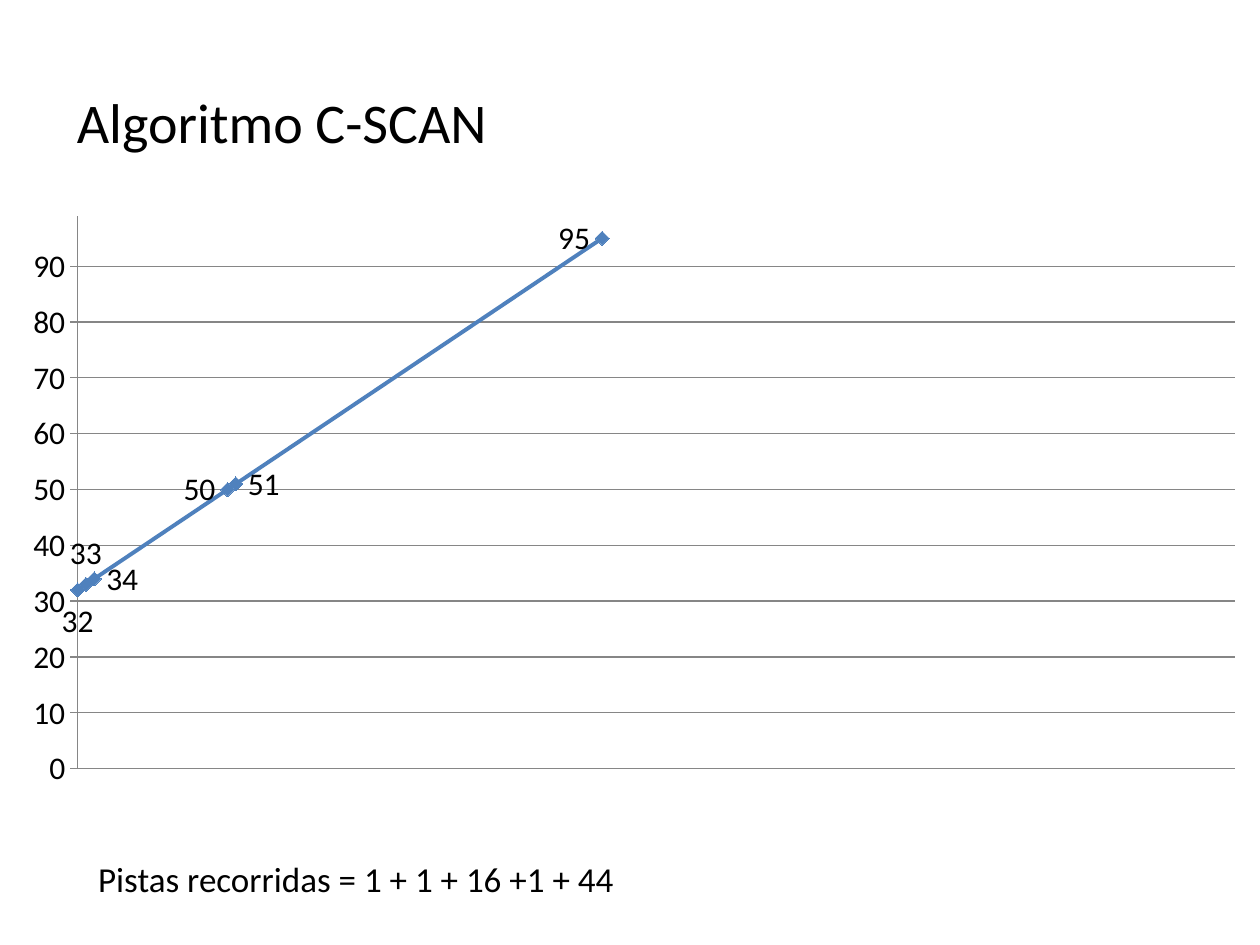
from dataclasses import dataclass

from lxml import etree
from pptx import Presentation
from pptx.chart.data import XyChartData
from pptx.dml.color import RGBColor
from pptx.enum.chart import (XL_CHART_TYPE, XL_LABEL_POSITION, XL_MARKER_STYLE,
                             XL_TICK_LABEL_POSITION, XL_TICK_MARK)
from pptx.enum.text import MSO_ANCHOR, PP_ALIGN
from pptx.oxml.ns import qn
from pptx.util import Inches, Pt

LINES = XL_CHART_TYPE.XY_SCATTER_LINES
DIAMOND = XL_MARKER_STYLE.DIAMOND
NO_LABELS = XL_TICK_LABEL_POSITION.NONE
NO_TICK, TICK_OUT = XL_TICK_MARK.NONE, XL_TICK_MARK.OUTSIDE
ABOVE, BELOW = XL_LABEL_POSITION.ABOVE, XL_LABEL_POSITION.BELOW
LEFT, RIGHT = XL_LABEL_POSITION.LEFT, XL_LABEL_POSITION.RIGHT
MIDDLE, ALIGN_LEFT = MSO_ANCHOR.MIDDLE, PP_ALIGN.LEFT


@dataclass(frozen=True)
class Theme:
    font: str = "Calibri"
    text: RGBColor = RGBColor(0, 0, 0)
    route: RGBColor = RGBColor(0x4F, 0x81, 0xBD)
    grid: RGBColor = RGBColor(0x86, 0x86, 0x86)
    title_size: int = 32
    total_size: int = 20
    chart_size: int = 18


THEME = Theme()
WIDTH, HEIGHT = 10, 7.5

# Boxes as shares of the slide: left, top, width, height
TITLE_BOX = (0.051, 0.039, 0.9, 0.179)
CHART_BOX = (0.007, 0.216, 0.993, 0.629)
TOTAL_BOX = (0.068, 0.877, 0.842, 0.105)
# Share of the chart box taken by the plot
PLOT_AREA = {"x": 0.055, "y": 0.02, "w": 0.925, "h": 0.93}

# Track visited and the side of its label
TRACKS = [(32, BELOW), (33, ABOVE), (34, RIGHT), (50, LEFT), (51, RIGHT), (95, LEFT)]


def to_lengths(box):
    return [Inches(share * side) for share, side in zip(box, (WIDTH, HEIGHT) * 2)]


def apply_format(target, **values):
    for name, value in values.items():
        setattr(target, name, value)


def style_font(font, size):
    apply_format(font, name=THEME.font, size=Pt(size))
    font.color.rgb = THEME.text


def write_text(shape, box, text, size):
    """Place a shape in its box with one line of left-aligned text."""
    apply_format(shape, **dict(zip(("left", "top", "width", "height"), to_lengths(box))))
    frame = shape.text_frame
    apply_format(frame, text=text, word_wrap=True, vertical_anchor=MIDDLE)
    paragraph = frame.paragraphs[0]
    paragraph.alignment = ALIGN_LEFT
    style_font(paragraph.runs[0].font, size)


def fix_plot_area(chart):
    """Pin the inner plot to its share of the chart box."""
    plot_area = chart._chartSpace.find(".//" + qn("c:plotArea"))
    for automatic in plot_area.findall(qn("c:layout")):
        plot_area.remove(automatic)
    layout = etree.Element(qn("c:layout"))
    manual = etree.SubElement(layout, qn("c:manualLayout"))
    settings = {"layoutTarget": "inner", "xMode": "edge", "yMode": "edge", **PLOT_AREA}
    for tag, value in settings.items():
        etree.SubElement(manual, qn("c:" + tag)).set("val", str(value))
    plot_area.insert(0, layout)


def add_route_chart(slide, box):
    route_data = XyChartData()
    visits = route_data.add_series("Series 1")
    first_track = TRACKS[0][0]
    for track, _ in TRACKS:
        visits.add_data_point(track - first_track, track)

    chart = slide.shapes.add_chart(LINES, *to_lengths(box), route_data).chart
    apply_format(chart, has_legend=False, has_title=False)
    style_font(chart.font, THEME.chart_size)
    fix_plot_area(chart)

    common = {"minimum_scale": 0, "minor_tick_mark": NO_TICK, "has_minor_gridlines": False}
    axis_formats = (
        (chart.category_axis, {"maximum_scale": 139, "has_major_gridlines": False,
                               "major_tick_mark": NO_TICK,
                               "tick_label_position": NO_LABELS}),
        (chart.value_axis, {"maximum_scale": 99, "major_unit": 10,
                            "has_major_gridlines": True, "major_tick_mark": TICK_OUT}),
    )
    for axis, values in axis_formats:
        apply_format(axis, **common, **values)
        axis.format.line.color.rgb = THEME.grid
    chart.value_axis.major_gridlines.format.line.color.rgb = THEME.grid

    chart.plots[0].vary_by_categories = False
    route = chart.plots[0].series[0]
    # Scatter series carry their smoothing as an element only
    for smooth in route._element.findall(qn("c:smooth")):
        smooth.set("val", "0")
    route.format.line.color.rgb = THEME.route
    route.format.line.width = Pt(2.25)
    apply_format(route.marker, style=DIAMOND, size=8)
    route.marker.format.fill.solid()
    route.marker.format.fill.fore_color.rgb = THEME.route
    route.marker.format.line.color.rgb = THEME.route
    for index, (_, side) in enumerate(TRACKS):
        route.points[index].data_label.position = side


def add_algorithm_slide(deck):
    slide = deck.slides.add_slide(deck.slide_layouts.get_by_name("Title Only"))
    add_route_chart(slide, CHART_BOX)
    write_text(slide.shapes.title, TITLE_BOX, "Algoritmo C-SCAN", THEME.title_size)
    total = slide.shapes.add_textbox(*to_lengths(TOTAL_BOX))
    write_text(total, TOTAL_BOX, "Pistas recorridas = 1 + 1 + 16 +1 + 44", THEME.total_size)


def main():
    deck = Presentation()
    apply_format(deck, slide_width=Inches(WIDTH), slide_height=Inches(HEIGHT))
    add_algorithm_slide(deck)
    deck.save("out.pptx")


if __name__ == "__main__":
    main()
